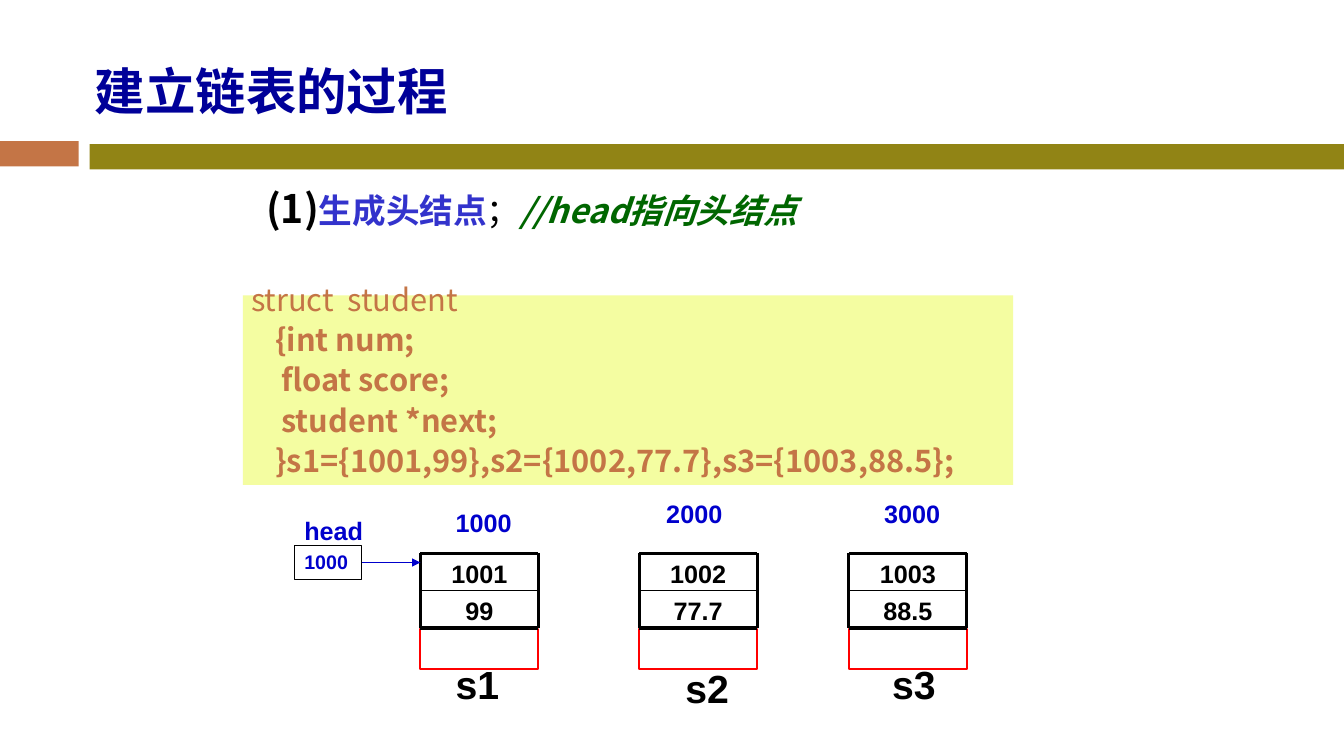
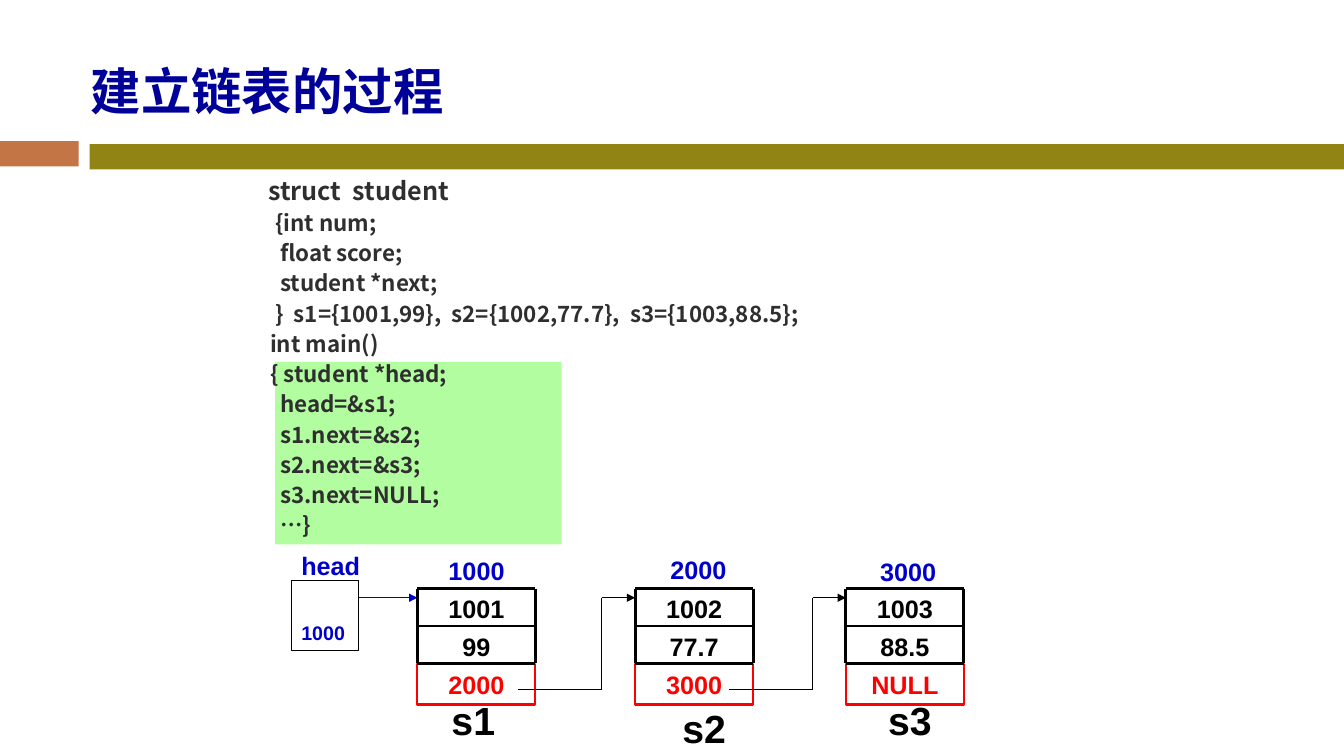
"""Build two slides on creating a linked list."""
from lxml.etree import SubElement
from pptx import Presentation
from pptx.dml.color import RGBColor
from pptx.enum.shapes import MSO_CONNECTOR, MSO_SHAPE
from pptx.enum.text import MSO_ANCHOR, MSO_AUTO_SIZE, PP_ALIGN
from pptx.oxml.ns import qn
from pptx.util import Emu, Pt

PX = 9144
BLACK, BLUE, RED = "000000", "0000CC", "FF0000"
NAVY, VIOLET, GREEN, GREY = "000099", "3333CC", "006600", "2F2F2F"
ORANGE, OLIVE, YELLOW, MINT = "C47546", "918415", "F4FDA1", "B3FDA1"
HEADING_FONT, LABEL_FONT = "Noto Sans CJK SC", "Arial"
LEFT, CENTER = PP_ALIGN.LEFT, PP_ALIGN.CENTER
NODE_WIDTH, ROW_HEIGHT = 117, 37
NODE_VALUES = [("1001", "99"), ("1002", "77.7"), ("1003", "88.5")]
ADDRESSES = ["1000", "2000", "3000"]


def px(*lengths):
    """Turn px lengths into EMU."""
    return [Emu(length * PX) for length in lengths]


def style(run, font, size, color, bold=True, italic=False):
    """Format one run of text."""
    run.font.size = Pt(size)
    run.font.bold = bold
    run.font.italic = italic
    run.font.color.rgb = RGBColor.from_string(color)
    run.font.name = font
    SubElement(run.font._element, qn("a:ea"), typeface=font)


slides = [
    {
        "title_box": (84, 52, 900, 73),
        "body_box": (239, 178, 900, 479),
        "highlight": (241, 293, 764, 188, YELLOW),
        "body": [
            (0, 15, 3, [("(1)", 28, BLACK, True, False),
                        ("生成头结点", 24, VIOLET, True, False),
                        ("；", 24, BLACK, False, False),
                        ("//head指向头结点", 24, GREEN, True, True)]),
            (0, 0, 35, [("struct  student", 22, ORANGE, False, False)]),
        ] + [
            (1, 18 + 6 * depth, 2.4, [(text, 22, ORANGE, True, False)])
            for depth, text in [
                (1, "{int num;"), (2, "float score;"), (2, "student *next;"),
                (1, "}s1={1001,99},s2={1002,77.7},s3={1003,88.5};"),
            ]
        ],
        "node_lefts": (417, 634, 842),
        "node_top": 549,
        "next_values": ("", "", ""),
        "head_height": 34,
        "address_places": [(442, 498), (651, 489), (867, 489)],
        "name_places": [(442, 650), (670, 654), (875, 650)],
        "linked": False,
    },
    {
        "title_box": (80, 63, 900, 62),
        "body_box": (241, 169, 875, 367),
        "highlight": (273, 359, 284, 181, MINT),
        "body": [
            (0, 15, 3, [("struct  student", 18, GREY, True, False)]),
        ] + [
            (1, 17 + 5 * depth, 2.4, [(text, 16, GREY, True, False)])
            for depth, text in [
                (1, "{int num;"), (2, "float score;"), (2, "student *next;"),
                (1, "}  s1={1001,99},  s2={1002,77.7},  s3={1003,88.5};"),
                (0, "int main()"), (0, "{ student *head;"), (2, "head=&s1;"),
                (2, "s1.next=&s2;"), (2, "s2.next=&s3;"),
                (2, "s3.next=NULL;"), (2, "…}"),
            ]
        ],
        "node_lefts": (414, 630, 839),
        "node_top": 584,
        "next_values": ("2000", "3000", "NULL"),
        "head_height": 69,
        "address_places": [(435, 546), (655, 545), (863, 547)],
        "name_places": [(438, 686), (667, 694), (871, 686)],
        "linked": True,
    },
]

presentation = Presentation()
presentation.slide_width, presentation.slide_height = px(1333, 750)
layout = presentation.slide_layouts[1]

for number, content in enumerate(slides):
    slide = presentation.slides.add_slide(layout)
    shapes = slide.shapes

    fills = [(shapes.element, content["highlight"])]
    if number == 0:
        fills += [(layout.shapes.element, (0, 140, 78, 25, ORANGE)),
                  (layout.shapes.element, (89, 143, 1247, 25, OLIVE))]
    for tree, (*place, color) in fills:
        shape = shapes.add_shape(MSO_SHAPE.RECTANGLE, *px(*place))
        shape.shadow.inherit = False
        shape.fill.solid()
        shape.fill.fore_color.rgb = RGBColor.from_string(color)
        shape.line.fill.background()
        tree.insert(2, shape.element)

    title, body = shapes.title, slide.placeholders[1]
    for placeholder, place in [(title, content["title_box"]), (body, content["body_box"])]:
        placeholder.left, placeholder.top, placeholder.width, placeholder.height = px(*place)
        placeholder.text_frame.auto_size = MSO_AUTO_SIZE.NONE
        placeholder.text_frame.word_wrap = True

    title.text_frame.text = "建立链表的过程"
    title.text_frame.vertical_anchor = MSO_ANCHOR.BOTTOM
    title.text_frame.paragraphs[0].alignment = LEFT
    style(title.text_frame.paragraphs[0].runs[0], HEADING_FONT, 36, NAVY)

    body.text_frame.vertical_anchor = MSO_ANCHOR.TOP
    for index, (level, margin, space, runs) in enumerate(content["body"]):
        paragraph = body.text_frame.add_paragraph() if index else body.text_frame.paragraphs[0]
        paragraph.level = level
        paragraph.alignment = LEFT
        paragraph.line_spacing = 1.0
        paragraph.space_before = Pt(space)
        properties = paragraph._p.get_or_add_pPr()
        properties.set("marL", str(margin * PX))
        properties.set("indent", "0")
        SubElement(properties, qn("a:buNone"))
        for text, *look in runs:
            run = paragraph.add_run()
            run.text = text
            style(run, HEADING_FONT, *look)

    lefts, top = content["node_lefts"], content["node_top"]
    head_left, head_height = lefts[0] - 125, content["head_height"]
    arrow_y = top + 9
    boxes = [
        (head_left, top - 43, 78, 40, "head", 18, BLUE, LEFT, 5, None, 0),
        (head_left, top - 8, 67, head_height, "1000", 14, BLUE, LEFT, head_height - 29, BLACK, 0.75),
    ]
    lines = []
    for left, values, next_value in zip(lefts, NODE_VALUES, content["next_values"]):
        right, bottom = left + NODE_WIDTH, top + 2 * ROW_HEIGHT
        for row, value in enumerate(values):
            boxes.append((left, top + row * ROW_HEIGHT, NODE_WIDTH, ROW_HEIGHT,
                          value, 18, BLACK, CENTER, 5, None, 0))
        boxes.append((left, bottom + 1, NODE_WIDTH, 40, next_value, 18, RED, CENTER, 5, RED, 1.5))
        for row, weight in enumerate((2.25, 1, 2.25)):
            y = top + row * ROW_HEIGHT
            lines.append((left, y, right, y, BLACK, weight, False))
        for x in (left, right):
            lines.append((x, top, x, bottom, BLACK, 2.25, False))
    for address, place in zip(ADDRESSES, content["address_places"]):
        boxes.append((*place, 76, 40, address, 18, BLUE, LEFT, 5, None, 0))
    for index, place in enumerate(content["name_places"], 1):
        boxes.append((*place, 64, 57, f"s{index}", 28, BLACK, LEFT, 5, None, 0))
    if content["linked"]:
        for left in lefts[1:]:
            bend, link_y = left - 33, top + 100
            lines += [(left - 116, link_y, bend, link_y, BLACK, 0.75, False),
                      (bend, link_y, bend, arrow_y, BLACK, 0.75, False),
                      (bend, arrow_y, left, arrow_y, BLACK, 0.75, True)]
    lines.append((head_left + 67, arrow_y, lefts[0], arrow_y, BLUE, 0.75, True))

    for *place, text, size, color, alignment, margin_top, outline, weight in boxes:
        if outline:
            shape = shapes.add_shape(MSO_SHAPE.RECTANGLE, *px(*place))
            shape.shadow.inherit = False
            shape.fill.background()
            shape.line.color.rgb = RGBColor.from_string(outline)
            shape.line.width = Pt(weight)
        else:
            shape = shapes.add_textbox(*px(*place))
        if text == "1000" and outline:
            head_box = shape
        frame = shape.text_frame
        frame.word_wrap = True
        frame.vertical_anchor = MSO_ANCHOR.TOP
        frame.margin_top = px(margin_top)[0]
        if alignment == LEFT:
            frame.margin_right = 0
        frame.text = text
        frame.paragraphs[0].alignment = alignment
        for run in frame.paragraphs[0].runs:
            style(run, LABEL_FONT, size, color)

    for *ends, color, weight, arrow in lines:
        connector = shapes.add_connector(MSO_CONNECTOR.STRAIGHT, *px(*ends))
        connector.line.color.rgb = RGBColor.from_string(color)
        connector.line.width = Pt(weight)
        if arrow:
            SubElement(connector.line._get_or_add_ln(), qn("a:tailEnd"), type="triangle")
        SubElement(connector.element.spPr, qn("a:effectLst"))
    if head_height == 2 * (arrow_y - top + 8):
        connector.begin_connect(head_box, 3)

presentation.save("out.pptx")
